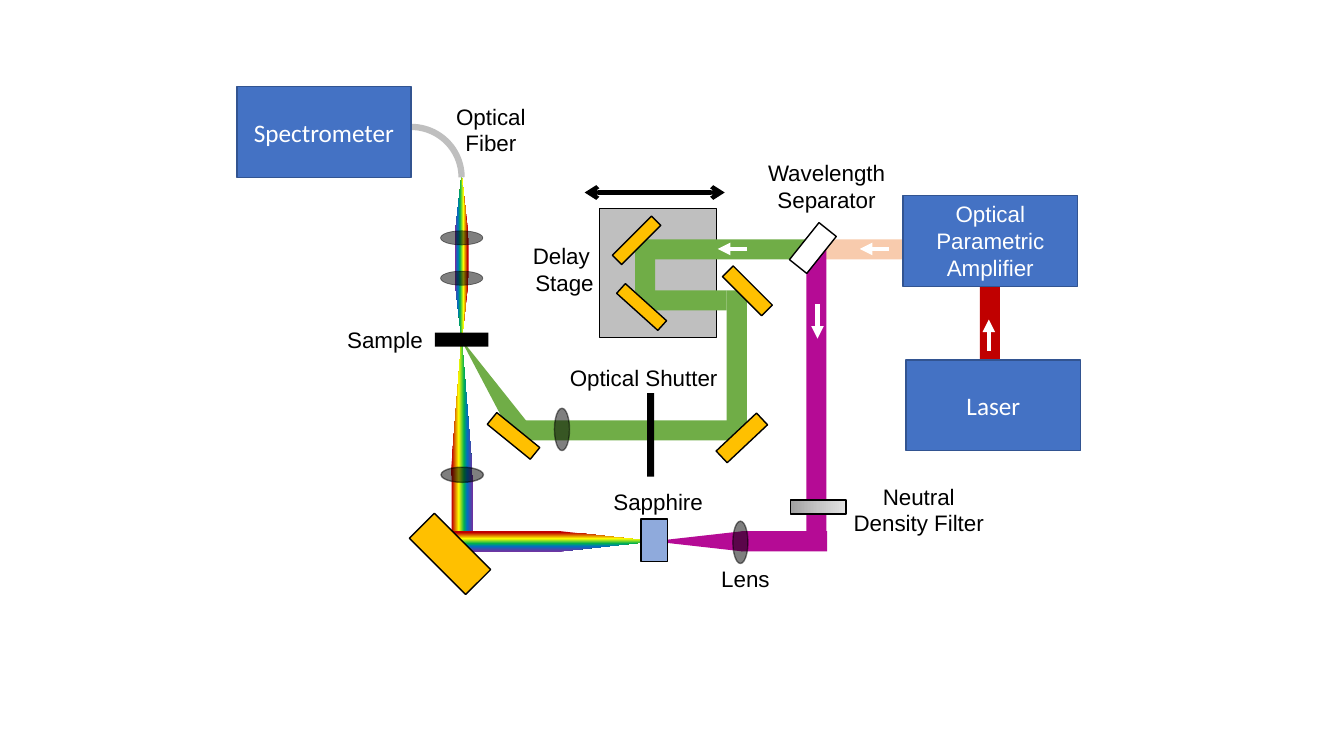
from functools import partial
from lxml.etree import SubElement
from pptx import Presentation
from pptx.dml.color import RGBColor
from pptx.enum.shapes import MSO_CONNECTOR, MSO_SHAPE as SHAPE
from pptx.enum.text import MSO_ANCHOR, MSO_AUTO_SIZE, PP_ALIGN
from pptx.oxml.ns import qn
from pptx.util import Inches, Pt

COLUMNS, ROWS = 133.33, 75
CELL = Inches(0.1)
BLACK, WHITE, GOLD = "000000", "FFFFFF", "FFC000"
GREEN, PURPLE, BLUE, GREY = "70AD47", "B50B95", "4472C4", "BFBFBF"
RAINBOW = [(7, "C00000"), (37, "FFFF00"), (61, "00B050"), (75, "0070C0"), (100, "7030A0")]
SILVER = [(0, "A0A0A0"), (50, "C5C5C5"), (100, "E3E3E3")]


def cells(n):
    """Convert grid cells to a length."""
    return int(n * CELL)


def rgb(color):
    """Turn a hex string into a colour."""
    return RGBColor.from_string(color)


def shade(fill, color):
    """Apply a solid colour to a fill."""
    fill.solid()
    fill.fore_color.rgb = rgb(color)


def blend(sp, stops, angle):
    """Fill a shape with gradient stops, the angle being clockwise."""
    sp.fill.gradient()
    sp.fill.gradient_angle = -angle % 360
    stop_list = next(sp.element.spPr.iter(qn("a:gsLst")))
    stop_list.clear()
    for position, color in stops:
        gs = SubElement(stop_list, qn("a:gs"), pos=str(position * 1000))
        SubElement(gs, qn("a:srgbClr"), val=color)


def finish(sp, fill=None, line=None, pt=1, angle=0, alpha=None):
    """Give a shape its fill, outline and opacity."""
    sp.shadow.inherit = False
    if fill is None:
        sp.fill.background()
    elif isinstance(fill, str):
        shade(sp.fill, fill)
    else:
        blend(sp, fill, angle)
    if line:
        shade(sp.line.fill, line)
        sp.line.width = Pt(pt)
    else:
        sp.line.fill.background()
    if alpha:
        for color in sp.element.spPr.iter(qn("a:srgbClr")):
            SubElement(color, qn("a:alpha"), val=str(alpha * 1000))
    return sp


def frame(box, cx, cy, w, h):
    """Return the placement of a part centred at cx, cy in a box."""
    return [cells(n) for n in (box[0] + cx - w / 2, box[1] + cy - h / 2, w, h)]


def add_part(s, box, kind, cx, cy, w, h, turn=0, adjust=(), **look):
    """Add a preset shape centred at cx, cy in a box."""
    sp = s.shapes.add_shape(kind, *frame(box, cx, cy, w, h))
    sp.rotation = turn
    for i, value in enumerate(adjust):
        sp.adjustments[i] = value
    return finish(sp, **look)


def add_beam(s, box, points, angle):
    """Add a rainbow beam whose outline runs through points in a box."""
    corners = [(cells(box[0] + x), cells(box[1] + y)) for x, y in points]
    builder = s.shapes.build_freeform(*corners[0], scale=1.0)
    builder.add_line_segments(corners[1:], close=True)
    return finish(builder.convert_to_shape(), fill=RAINBOW, angle=angle)


def add_arrow(s, box, x1, y1, x2, y2, color=WHITE, head=None, tail="triangle"):
    """Add an arrow between two points in a box."""
    ends = (box[0] + x1, box[1] + y1, box[0] + x2, box[1] + y2)
    c = s.shapes.add_connector(MSO_CONNECTOR.STRAIGHT, *map(cells, ends))
    shade(c.line.fill, color)
    c.line.width = Pt(3)
    ln = c.element.spPr.find(qn("a:ln"))
    for tag, tip in (("a:headEnd", head), ("a:tailEnd", tail)):
        if tip:
            SubElement(ln, qn(tag), type=tip)
    SubElement(c.element.spPr, qn("a:effectLst"))


def write(tf, text, size=16, font="Arial", color=BLACK, wrap=True):
    """Write centred text, one paragraph a line."""
    tf.word_wrap = wrap
    for i, line in enumerate(text.split("\n")):
        p = tf.add_paragraph() if i else tf.paragraphs[0]
        p.alignment = PP_ALIGN.CENTER
        r = p.add_run()
        r.text = line
        r.font.size, r.font.name = Pt(size), font
        r.font.color.rgb = rgb(color)


def add_label(s, box, text, cx, cy, w, h=3.7, wrap=False):
    """Add a caption centred at cx, cy in a box."""
    tf = s.shapes.add_textbox(*frame(box, cx, cy, w, h)).text_frame
    write(tf, text, wrap=wrap)
    tf.auto_size = MSO_AUTO_SIZE.SHAPE_TO_FIT_TEXT


def add_device(s, box, text, cx, cy, **style):
    """Add a blue instrument block with its name."""
    sp = add_part(s, box, SHAPE.RECTANGLE, cx, cy, 17.3, 9, fill=BLUE, line="325491")
    sp.text_frame.vertical_anchor = MSO_ANCHOR.MIDDLE
    write(sp.text_frame, text, color=WHITE, **style)


def add_lens(s, box, cx, cy, w, h, pt=1):
    """Add a translucent lens."""
    add_part(s, box, SHAPE.OVAL, cx, cy, w, h, fill=BLACK, line=BLACK, pt=pt, alpha=50)


def draw_source(s, box):
    """Draw the laser and the amplifier with their beams."""
    rect = partial(add_part, s, box, SHAPE.RECTANGLE)
    rect(5.2, 9.75, 8.9, 2, fill="F8CBAD")
    rect(18.2, 17.35, 2, 10.3, fill="C00000")
    add_device(s, box, "Laser", 18.55, 25.2, size=18, font="Calibri")
    add_device(s, box, "Optical Parametric Amplifier", 18.25, 8.9)
    add_arrow(s, box, 18.1, 19.8, 18.1, 16.7)
    add_arrow(s, box, 8.2, 9.7, 5.3, 9.7)


def draw_probe(s, box):
    """Draw the probe arm from the separator to the sample."""
    rect = partial(add_part, s, box, SHAPE.RECTANGLE)
    label = partial(add_label, s, box)
    add_beam(s, box, [(5.8, 11.6), (6.9, 25.2), (6.9, 32.8), (4.8, 32.8), (4.8, 25.2), (4.7, 25.2)], 0)
    rect(37.8, 31.7, 8.5, 2, fill=PURPLE)
    add_part(s, box, SHAPE.ISOSCELES_TRIANGLE, 29.2, 31.7, 2, 8.9, turn=270, fill=PURPLE)
    rect(41, 16.6, 2, 30, fill=PURPLE)
    add_beam(s, box, [(4.7, 30.7), (15.6, 30.7), (24.8, 31.7), (15.6, 32.7), (4.7, 32.7)], 90)
    rect(41.2, 28.3, 5.5, 1.4, fill=SILVER, line=BLACK)
    rect(24.9, 31.6, 2.6, 4.2, fill="8FAADC", line=BLACK)
    rect(4.65, 32.95, 3.5, 7.9, turn=315, fill=GOLD, line=BLACK)
    add_lens(s, box, 33.45, 31.8, 1.5, 4.2)
    add_lens(s, box, 5.85, 25.1, 4.2, 1.5)
    label("Neutral\nDensity Filter", 51.15, 28.6, 15.1, 6.4)
    label("Sapphire", 25.3, 27.75, 11)
    label("Lens", 33.95, 35.45, 6.9)
    add_arrow(s, box, 41.1, 8.2, 41.1, 11.6)


def draw_pump(s, box):
    """Draw the pump arm with its delay stage and shutter."""
    rect = partial(add_part, s, box, SHAPE.RECTANGLE)
    label = partial(add_label, s, box)
    add_part(s, box, SHAPE.ISOSCELES_TRIANGLE, 3.8, 22.7, 2, 10.6, turn=330.6, adjust=[0.15], fill=GREEN)
    rect(20.3, 12.1, 11.6, 12.8, fill=GREY, line=BLACK)
    for cx, cy, w, h in [(17.6, 27.7, 23, 2), (28.1, 20.85, 2, 14.1), (22.7, 14.8, 8.8, 2),
                         (19, 11.75, 2, 5.7), (27.6, 9.75, 17.3, 2)]:
        rect(cx, cy, w, h, fill=GREEN)
    rect(35.65, 9.6, 4.7, 2.2, turn=308.6, fill=WHITE, line=BLACK)
    for cx, cy, w, turn in [(18.15, 8.85, 1.3, 45), (18.65, 15.45, 1.3, 312), (29.15, 13.85, 1.5, 315),
                            (28.6, 28.45, 1.6, 46.8), (5.95, 28.25, 1.5, 309.1)]:
        rect(cx, cy, w, 5.5, turn=turn, fill=GOLD, line=BLACK)
    add_lens(s, box, 10.75, 27.6, 1.5, 4.2)
    rect(19.55, 28.15, 0.7, 8.3, fill=BLACK)
    label("Optical Shutter", 18.85, 22.45, 16.9)
    label("Delay \nStage", 11, 11.7, 8.4, 6.4)
    label("Wavelength\nSeparator", 37, 3.5, 13.8, 6.4)
    add_arrow(s, box, 13, 4.1, 26.9, 4.1, color=BLACK, head="arrow", tail="arrow")
    add_arrow(s, box, 29.1, 9.7, 26.2, 9.7)


def draw_detection(s, box):
    """Draw the path from the sample to the spectrometer."""
    part = partial(add_part, s, box)
    axis, middle = 22.8, 17.6
    part(SHAPE.RECTANGLE, axis, middle, 1.4, 4, fill=RAINBOW, angle=180)
    for side, turn in ((-1, 0), (1, 180)):
        part(SHAPE.ISOSCELES_TRIANGLE, axis, middle + 5.1 * side, 1.4, 6.2, turn=turn,
             fill=RAINBOW, angle=180 - turn)
        add_lens(s, box, axis, middle + 2 * side, 4.2, 1.4, pt=0.5)
    part(SHAPE.RECTANGLE, axis, 25.7, 5.3, 1.4, fill=BLACK)
    part(SHAPE.ARC, 17.8, 9.6, 10, 10, adjust=[157.95, 0], line=GREY, pt=4.5)
    add_device(s, box, "Spectrometer", 9.15, 5.1, size=18, font="Calibri")
    add_label(s, box, "Sample", 15.2, 25.7, 9.6, wrap=True)
    add_label(s, box, "Optical Fiber", 25.7, 4.9, 9.6, 6.4, wrap=True)


def main():
    """Build the slide and save it."""
    prs = Presentation()
    prs.slide_width, prs.slide_height = cells(COLUMNS), cells(ROWS)
    s = prs.slides.add_slide(prs.slide_layouts[6])
    draw_source(s, (80, 15))
    draw_probe(s, (40, 22))
    draw_pump(s, (45, 15))
    draw_detection(s, (23, 8))
    prs.save("out.pptx")


if __name__ == "__main__":
    main()
